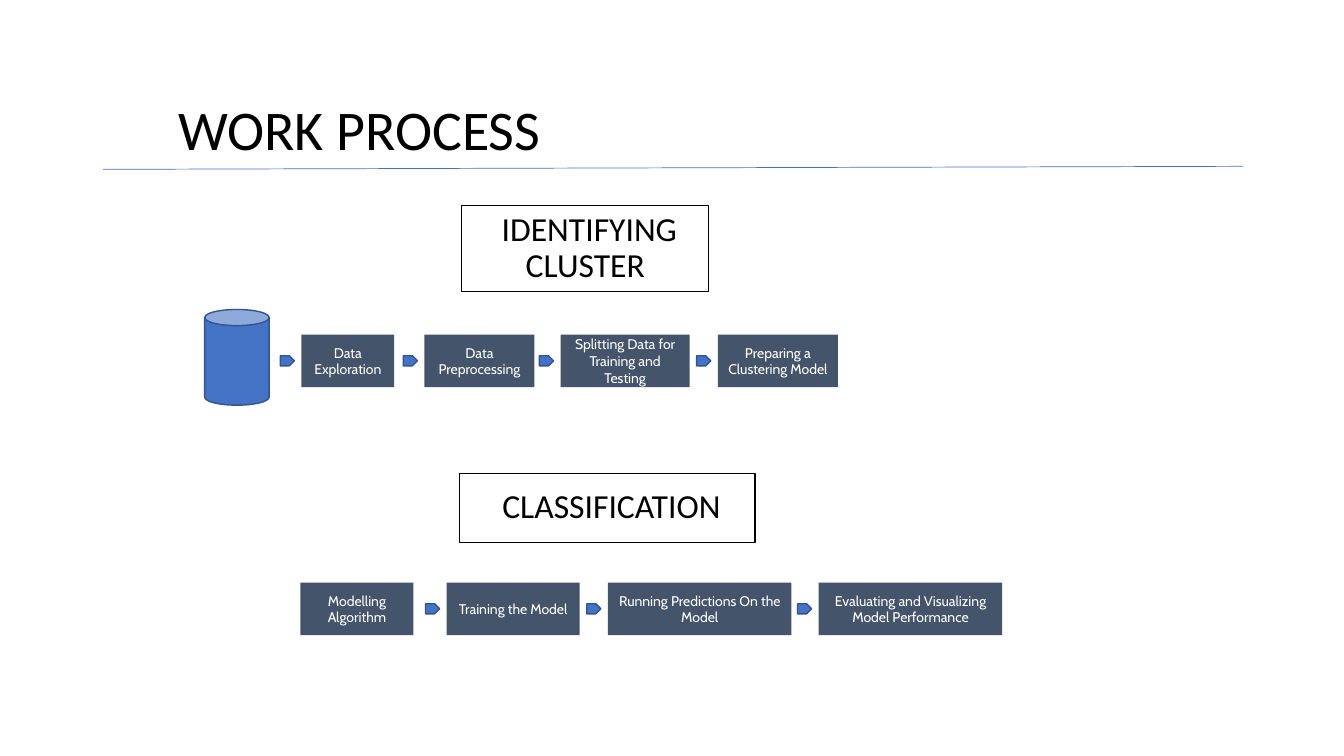
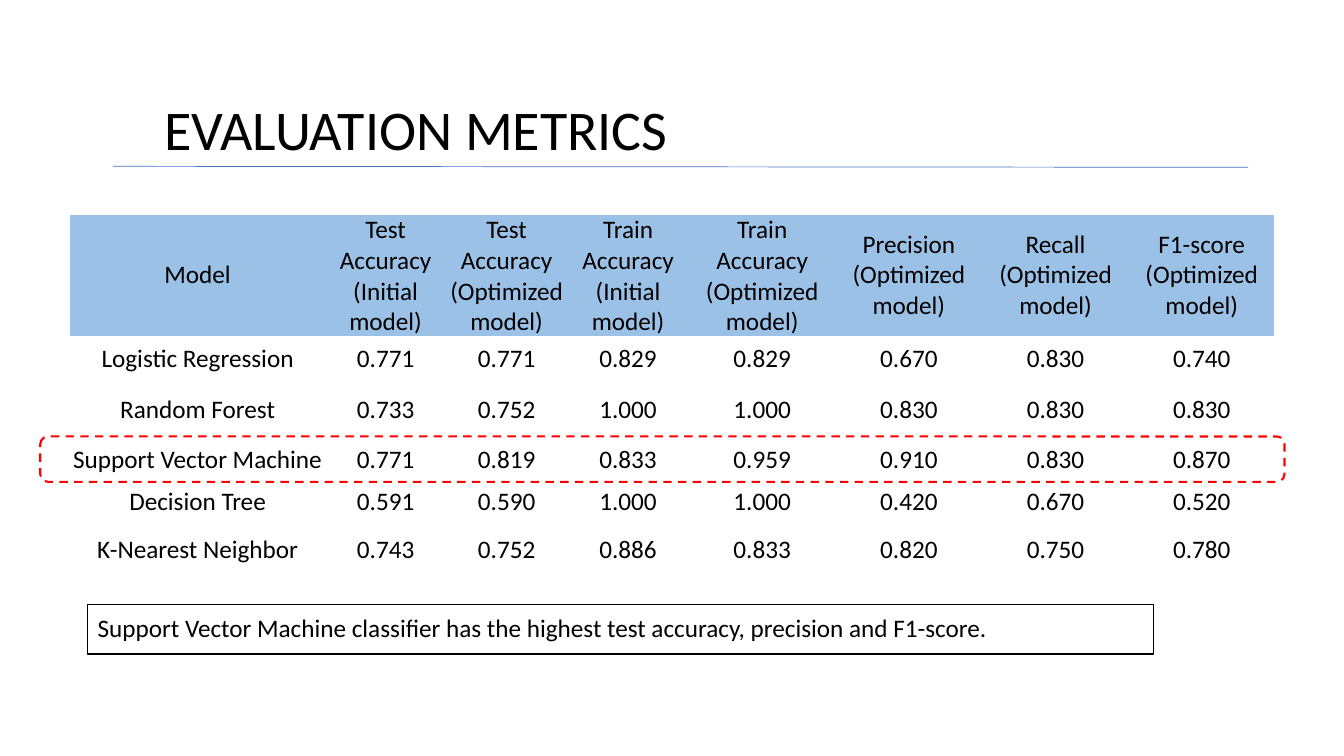
"""Build the work process and evaluation metrics slides."""
from typing import NamedTuple

from pptx import Presentation
from pptx.dml.color import RGBColor
from pptx.enum.dml import MSO_LINE
from pptx.enum.shapes import MSO_CONNECTOR, MSO_SHAPE
from pptx.enum.text import MSO_ANCHOR, PP_ALIGN
from pptx.oxml.ns import qn
from pptx.util import Inches, Pt
from lxml import etree

RECT, ROUND = MSO_SHAPE.RECTANGLE, MSO_SHAPE.ROUNDED_RECTANGLE
CAN, ARROW = MSO_SHAPE.CAN, MSO_SHAPE.PENTAGON
MID, BASE = MSO_ANCHOR.MIDDLE, MSO_ANCHOR.BOTTOM
LEFT, CENTER = PP_ALIGN.LEFT, PP_ALIGN.CENTER
STRAIGHT, DASH = MSO_CONNECTOR.STRAIGHT, MSO_LINE.DASH

BLACK, WHITE, SLATE = "000000", "FFFFFF", "44546A"
BLUE, NAVY, SKY, RED = "4472C4", "325491", "9BC2E6", "FF0000"
BODY, LABEL = "Calibri", "Cabin"
PLAIN = "{2D5ABB26-0587-4C30-8999-92F81FD0307C}"


class Box(NamedTuple):
    left: float
    top: float
    width: float
    height: float


class Step(NamedTuple):
    left: float
    width: float
    text: str


class Flow(NamedTuple):
    head: Box
    title: str
    top: float
    steps: list[Step]


FLOWS = [
    Flow(Box(4.58, 2.04, 2.45, 0.85), "IDENTIFYING CLUSTER", 3.32, [
        Step(2.99, 0.92, "Data Exploration"),
        Step(4.21, 1.09, "Data Preprocessing"),
        Step(5.56, 1.28, "Splitting Data for Training and Testing"),
        Step(7.12, 1.19, "Preparing a Clustering Model"),
    ]),
    Flow(Box(4.56, 4.7, 2.93, 0.68), "CLASSIFICATION", 5.78, [
        Step(2.98, 1.12, "Modelling Algorithm"),
        Step(4.43, 1.32, "Training the Model"),
        Step(6.03, 1.82, "Running Predictions On the Model"),
        Step(8.12, 1.82, "Evaluating and Visualizing Model Performance"),
    ]),
]
STEP_H = 0.52
ARROW_W, ARROW_H, ARROW_GAP = 0.14, 0.1, 0.21

COLS = [2.54, 1.19, 1.21, 1.2, 1.46, 1.45, 1.46, 1.44]
ROWS = [1.14, 0.45, 0.57, 0.42, 0.41, 0.56]
DATA = [
    ["Model", "Test Accuracy (Initial model)", "Test Accuracy (Optimized model)",
     "Train Accuracy (Initial model)", "Train Accuracy (Optimized model)",
     "Precision (Optimized model)", "Recall (Optimized model)",
     "F1-score (Optimized model)"],
    ["Logistic Regression", "0.771", "0.771", "0.829", "0.829", "0.670", "0.830", "0.740"],
    ["Random Forest", "0.733", "0.752", "1.000", "1.000", "0.830", "0.830", "0.830"],
    ["Support Vector Machine", "0.771", "0.819", "0.833", "0.959", "0.910", "0.830", "0.870"],
    ["Decision Tree", "0.591", "0.590", "1.000", "1.000", "0.420", "0.670", "0.520"],
    ["K-Nearest Neighbor", "0.743", "0.752", "0.886", "0.833", "0.820", "0.750", "0.780"],
]


def color(code: str) -> RGBColor:
    return RGBColor.from_string(code)


def lengths(box: Box) -> list[Inches]:
    return [Inches(side) for side in box]


def write(frame, text: str, *, size: float = 18, font: str = BODY, ink: str = BLACK,
          align=LEFT, anchor=MID, space: float = 1.0, indent: float = 0) -> None:
    frame.word_wrap = True
    frame.vertical_anchor = anchor
    para = frame.paragraphs[0]
    para.alignment = align
    para.line_spacing = space
    if indent:
        para._p.get_or_add_pPr().set("indent", str(Inches(indent)))
    run = para.add_run()
    run.text = text
    run.font.size = Pt(size)
    run.font.name = font
    run.font.color.rgb = color(ink)


def shape(slide, kind, box: Box, fill: str = "", line: str = "", weight: float = 1):
    item = slide.shapes.add_shape(kind, *lengths(box))
    item.shadow.inherit = False
    if fill:
        item.fill.solid()
        item.fill.fore_color.rgb = color(fill)
    else:
        item.fill.background()
    if line:
        item.line.color.rgb = color(line)
        item.line.width = Pt(weight)
    else:
        item.line.fill.background()
    return item


def title(slide, text: str, left: float, start: tuple[float, float],
          end: tuple[float, float]) -> None:
    head = slide.shapes.add_textbox(*lengths(Box(left, 0.64, 10, 1.02)))
    write(head.text_frame, text, size=40, anchor=BASE, space=0.9)
    ends = [Inches(value) for value in (*start, *end)]
    rule = slide.shapes.add_connector(STRAIGHT, *ends)
    rule.line.color.rgb = color(BLUE)
    rule.line.width = Pt(0.5)
    etree.SubElement(rule._element.spPr, qn("a:effectLst"))


def arrow(slide, step: Step, top: float) -> None:
    box = Box(step.left - ARROW_GAP, top + (STEP_H - ARROW_H) / 2, ARROW_W, ARROW_H)
    shape(slide, ARROW, box, BLUE, NAVY)


def chain(slide, flow: Flow, source: bool) -> None:
    head = shape(slide, RECT, flow.head, line=BLACK)
    write(head.text_frame, flow.title, size=24, align=CENTER, space=0.9, indent=0.08)
    for spot, step in enumerate(flow.steps):
        if spot or source:
            arrow(slide, step, flow.top)
        item = shape(slide, RECT, Box(step.left, flow.top, step.width, STEP_H), SLATE)
        frame = item.text_frame
        frame.margin_top = frame.margin_bottom = Inches(0.1)
        write(frame, step.text, size=10, font=LABEL, ink=WHITE, align=CENTER)


def process(slide) -> None:
    title(slide, "WORK PROCESS", 1.67, (1.02, 1.68), (12.33, 1.65))
    shape(slide, CAN, Box(2.03, 3.07, 0.64, 0.95), BLUE, NAVY)
    for spot, flow in enumerate(FLOWS):
        chain(slide, flow, source=spot == 0)


def grid(slide) -> None:
    box = Box(0.69, 2.13, sum(COLS), sum(ROWS))
    table = slide.shapes.add_table(len(ROWS), len(COLS), *lengths(box)).table
    table.first_row = table.horz_banding = False
    table._tbl.tblPr.find(qn("a:tableStyleId")).text = PLAIN
    for col, width in zip(table.columns, COLS):
        col.width = Inches(width)
    for spot, (row, height) in enumerate(zip(table.rows, ROWS)):
        row.height = Inches(height)
        for cell, text in zip(row.cells, DATA[spot]):
            cell.margin_left = cell.margin_right = Inches(0)
            cell.margin_top = cell.margin_bottom = Inches(0)
            cell.vertical_anchor = MID
            if spot == 0:
                cell.fill.solid()
                cell.fill.fore_color.rgb = color(SKY)
            else:
                cell.fill.background()
            write(cell.text_frame, text, align=CENTER)


def metrics(slide) -> None:
    title(slide, "EVALUATION METRICS", 1.53, (1.12, 1.65), (12.38, 1.66))
    mark = shape(slide, ROUND, Box(0.4, 4.33, 12.34, 0.45), line=RED, weight=1.5)
    mark.line.dash_style = DASH
    grid(slide)
    note = shape(slide, RECT, Box(0.87, 6, 10.57, 0.49), line=BLACK)
    write(note.text_frame, "Support Vector Machine classifier has the highest test "
          "accuracy, precision and F1-score.", space=0.9)


def main() -> None:
    deck = Presentation()
    deck.slide_width, deck.slide_height = Inches(13.33), Inches(7.5)
    for draw in (process, metrics):
        draw(deck.slides.add_slide(deck.slide_layouts[6]))
    deck.save("out.pptx")


if __name__ == "__main__":
    main()
